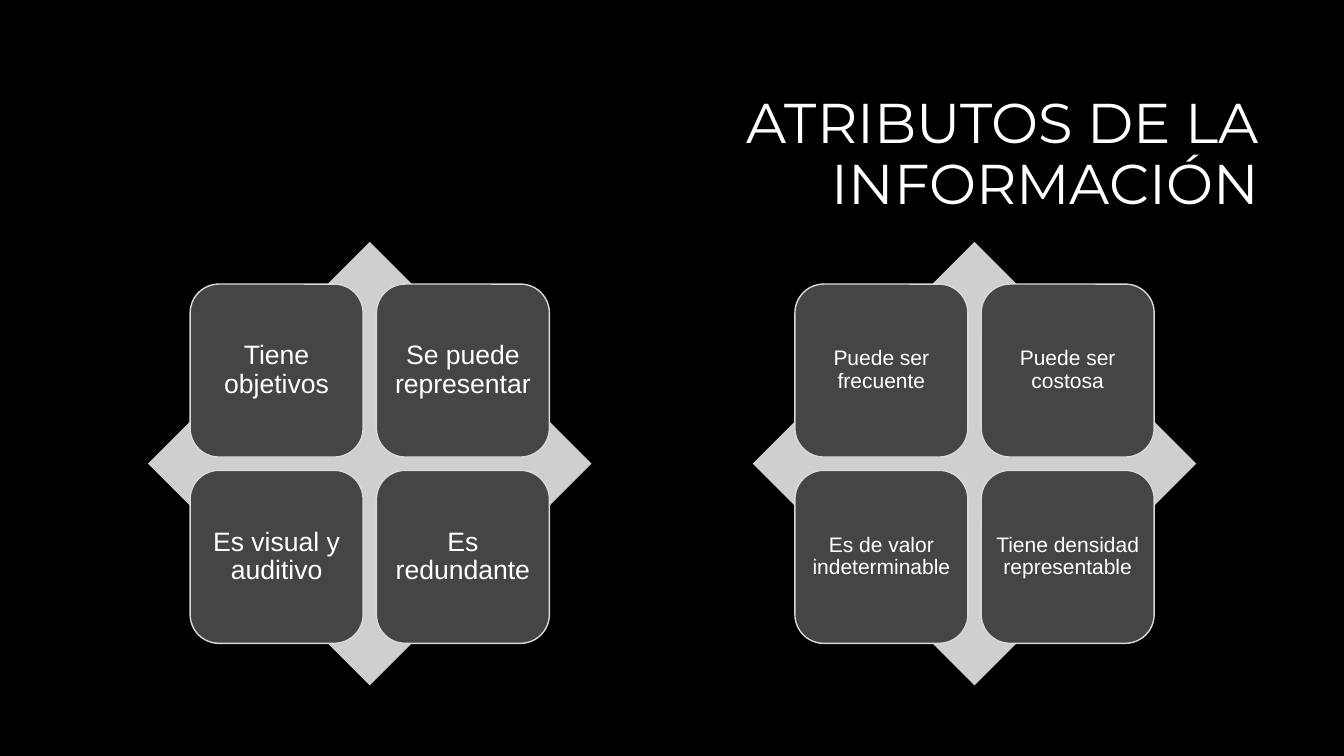
from pptx import Presentation
from pptx.dml.color import RGBColor
from pptx.enum.shapes import MSO_SHAPE
from pptx.enum.text import MSO_ANCHOR, PP_ALIGN
from pptx.util import Pt


def color(hex_code):
    return RGBColor.from_string(hex_code)


def write(sp, text, font="Arial", size=19, align=PP_ALIGN.CENTER, inset=(7.2, 3.6)):
    tf = sp.text_frame
    tf.word_wrap = True
    tf.vertical_anchor = MSO_ANCHOR.MIDDLE
    tf.margin_left = tf.margin_right = Pt(inset[0])
    tf.margin_top = tf.margin_bottom = Pt(inset[1])
    p = tf.paragraphs[0]
    p.alignment = align
    p.line_spacing = 0.9
    r = p.add_run()
    r.text = text
    r.font.name = font
    r.font.size = Pt(size)
    r.font.color.rgb = color("FFFFFF")


prs = Presentation()
prs.slide_width, prs.slide_height = Pt(960), Pt(540)
s = prs.slides.add_slide(prs.slide_layouts[6])
s.background.fill.solid()
s.background.fill.fore_color.rgb = color("000000")

# Title
title = s.shapes.add_textbox(Pt(228.2), Pt(60.5), Pt(678.2), Pt(101.5))
write(title, "ATRIBUTOS DE LA INFORMACIÓN", font="Montserrat", size=40,
      align=PP_ALIGN.RIGHT)

# Two matrices: a diamond behind a 2 x 2 grid of tiles
SIDE, TOP = 316.8, 172.8
TILE, MARGIN, PITCH = 0.39 * SIDE, 0.095 * SIDE, 0.42 * SIDE
matrices = [
    (105.7, 19, 5.7, ["Tiene objetivos", "Se puede representar",
                      "Es visual y auditivo", "Es redundante"]),
    (537.7, 15, 4.5, ["Puede ser frecuente", "Puede ser costosa",
                      "Es de valor indeterminable", "Tiene densidad representable"]),
]
for left, size, inset, labels in matrices:
    diamond = s.shapes.add_shape(MSO_SHAPE.DIAMOND, Pt(left), Pt(TOP), Pt(SIDE), Pt(SIDE))
    diamond.shadow.inherit = False
    diamond.fill.solid()
    diamond.fill.fore_color.rgb = color("CFCFCF")
    diamond.line.fill.background()

    for i, label in enumerate(labels):
        row, col = divmod(i, 2)
        tile = s.shapes.add_shape(
            MSO_SHAPE.ROUNDED_RECTANGLE, Pt(left + MARGIN + col * PITCH),
            Pt(TOP + MARGIN + row * PITCH), Pt(TILE), Pt(TILE))
        tile.shadow.inherit = False
        tile.fill.solid()
        tile.fill.fore_color.rgb = color("454545")
        tile.line.color.rgb = color("DADADA")
        tile.line.width = Pt(1)
        write(tile, label, size=size, inset=(inset, inset))

prs.save("out.pptx")
